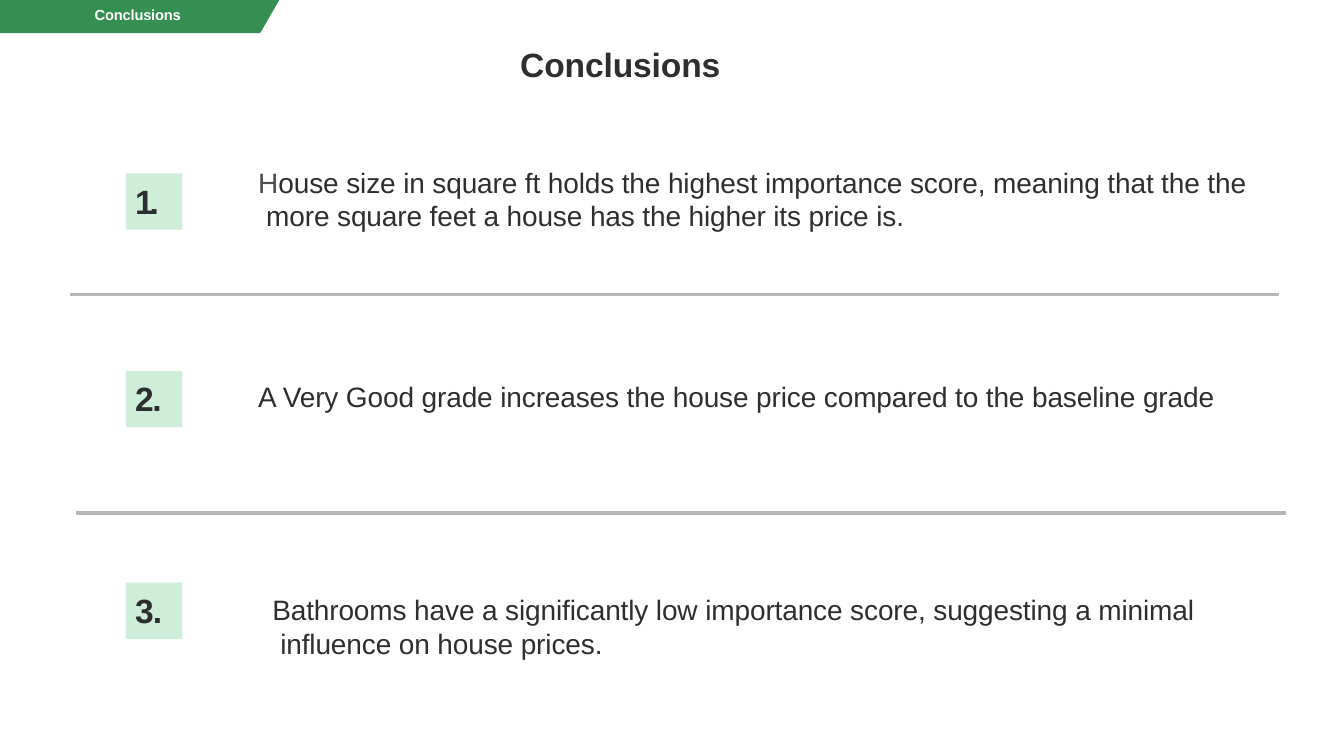
from lxml.etree import SubElement
from pptx import Presentation
from pptx.dml.color import RGBColor
from pptx.enum.shapes import MSO_CONNECTOR, MSO_SHAPE
from pptx.enum.text import MSO_ANCHOR, PP_ALIGN
from pptx.oxml.ns import qn
from pptx.util import Pt

PX = 9144  # EMU per px, 100 px to the inch
INK = RGBColor(0x2D, 0x2E, 0x2F)
GREY = RGBColor(0x4D, 0x4D, 0x4D)
RULE = RGBColor(0xB5, 0xB6, 0xB6)
MINT = RGBColor(0xCE, 0xEE, 0xD9)
GREEN = RGBColor(0x35, 0x8F, 0x52)
WHITE = RGBColor(0xFF, 0xFF, 0xFF)

BADGE_LEFT, BADGE_SIZE = 125, 56
# number, its spacing, badge top, text box (left, top, width, height), text pieces
CONCLUSIONS = [
    ("1.", -3, 172, (255, 163, 991, 69),
     [("H", GREY),
      ("ouse size in square ft holds the highest importance score, "
       "meaning that the the\vmore square feet a house has the higher its price is.", INK)]),
    ("2.", -0.9, 368, (255, 376, 959, 36),
     [("A Very Good grade increases the house price compared to the baseline grade", INK)]),
    ("3.", -0.6, 578, (269, 587, 925, 69),
     [("Bathrooms have a significantly low importance score, suggesting a minimal\v"
       "influence on house prices.", INK)]),
]
RULES = [(69, 292), (75, 509)]
RULE_WIDTH = 1200


def px(*lengths):
    return [length * PX for length in lengths]


def write(shape, pieces, size, bold=False, spacing=-0.1, inset_top=1,
          margin=1, hanging=0, space_before=1):
    """Fill a shape with one left-aligned paragraph of (text, colour) pieces."""
    frame = shape.text_frame
    frame.word_wrap = True
    frame.vertical_anchor = MSO_ANCHOR.TOP
    frame.margin_left = frame.margin_right = frame.margin_bottom = 0
    frame.margin_top = inset_top * PX
    paragraph = frame.paragraphs[0]
    paragraph.text = "".join(text for text, _ in pieces[:1])
    for text, _ in pieces[1:]:
        first, *others = text.split("\v")
        paragraph.add_run().text = first
        for line in others:
            paragraph.add_line_break()
            paragraph.add_run().text = line
    paragraph.alignment = PP_ALIGN.LEFT
    paragraph.line_spacing = 1.0
    paragraph.space_before = Pt(space_before)
    properties = paragraph._p.get_or_add_pPr()
    properties.set("marL", str((margin + hanging) * PX))
    properties.set("indent", str(-hanging * PX))
    for index, run in enumerate(paragraph.runs):
        run.font.name = "Arial"
        run.font.size = Pt(size)
        run.font.bold = bold
        run.font.color.rgb = pieces[min(index, len(pieces) - 1)][1]
        run._r.get_or_add_rPr().set("spc", str(round(spacing * 100)))


def add_label(slide, box, pieces, size, **style):
    write(slide.shapes.add_textbox(*px(*box)), pieces, size, **style)


def paint(shape, colour):
    shape.shadow.inherit = False
    shape.fill.solid()
    shape.fill.fore_color.rgb = colour
    shape.line.fill.background()


def add_title(slide):
    title = slide.shapes.title
    title.left, title.top, title.width, title.height = px(515, 43, 203, 43)
    write(title, [("Conclusions", INK)], 24, bold=True)


def add_rule(slide, left, top):
    rule = slide.shapes.add_connector(
        MSO_CONNECTOR.STRAIGHT, *px(left, top, left + RULE_WIDTH, top))
    rule.line.color.rgb = RULE
    rule.line.width = Pt(2.25)
    SubElement(rule._element.spPr, qn("a:effectLst"))


def add_section_tab(slide):
    builder = slide.shapes.build_freeform(0, 0, scale=PX)
    builder.add_line_segments([(277, 0), (258, 33), (0, 33)], close=True)
    paint(builder.convert_to_shape(), GREEN)
    add_label(slide, (93, 5, 90, 20), [("Conclusions", WHITE)], 10.5, bold=True)


def add_badge(slide, number, spacing, top):
    badge = slide.shapes.add_shape(
        MSO_SHAPE.RECTANGLE, *px(BADGE_LEFT, top, BADGE_SIZE, BADGE_SIZE))
    paint(badge, MINT)
    write(badge, [(number, INK)], 24, bold=True, spacing=spacing,
          inset_top=7, margin=9, space_before=4.8)


def main():
    deck = Presentation()
    deck.slide_width, deck.slide_height = px(1333, 750)
    slide = deck.slides.add_slide(deck.slide_layouts[5])
    add_title(slide)
    add_section_tab(slide)
    for left, top in RULES:
        add_rule(slide, left, top)
    for number, spacing, top, box, pieces in CONCLUSIONS:
        add_badge(slide, number, spacing, top)
        add_label(slide, box, pieces, 20, hanging=8)
    deck.save("out.pptx")


if __name__ == "__main__":
    main()
